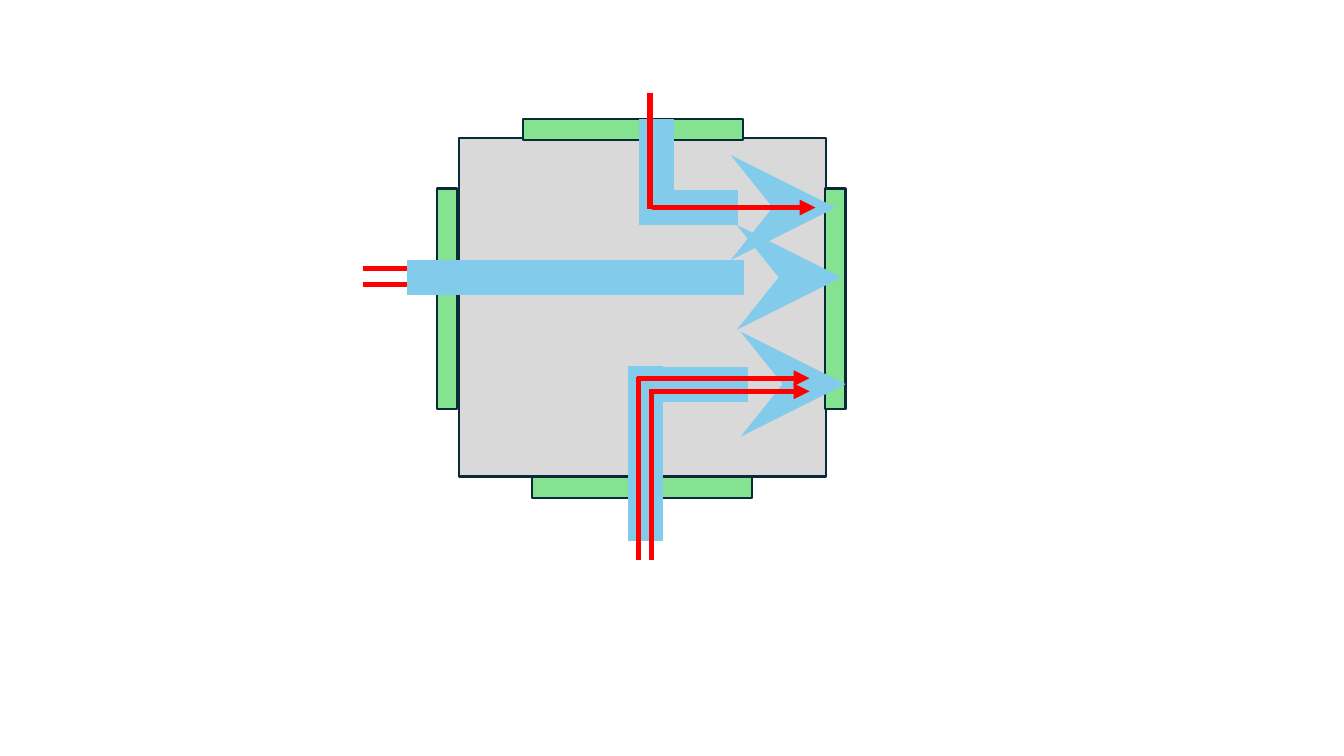
from lxml.etree import SubElement
from pptx import Presentation
from pptx.dml.color import RGBColor
from pptx.enum.shapes import MSO_CONNECTOR as CONN, MSO_SHAPE as SHAPE
from pptx.oxml.ns import qn
from pptx.util import Cm, Pt

RED, BLUE, GREEN, GREY, NAVY = "FF0000", "83CBEB", "84E291", "D9D9D9", "092A39"


def rgb(value):
    return RGBColor.from_string(value)


class Diagram:
    outline = 1.5
    signal_width = 3.75
    channel_width = 25

    def __init__(self, slide):
        self.shapes = slide.shapes

    def box(self, x, y, w, h, fill):
        sp = self.shapes.add_shape(SHAPE.RECTANGLE, Cm(x), Cm(y), Cm(w), Cm(h))
        sp.shadow.inherit = False
        sp.fill.solid()
        sp.fill.fore_color.rgb = rgb(fill)
        sp.line.color.rgb = rgb(NAVY)
        sp.line.width = Pt(self.outline)

    def line(self, x1, y1, x2, y2, color, width, head=None):
        cxn = self.shapes.add_connector(CONN.STRAIGHT, Cm(x1), Cm(y1), Cm(x2), Cm(y2))
        cxn.line.color.rgb = rgb(color)
        cxn.line.width = Pt(width)
        if head:
            SubElement(cxn.line._get_or_add_ln(), qn("a:tailEnd")).set("type", head)
        SubElement(cxn._element.spPr, qn("a:effectLst"))

    def signal(self, x1, y1, x2, y2, arrow=False):
        self.line(x1, y1, x2, y2, RED, self.signal_width, "triangle" if arrow else None)

    def channel(self, x1, y1, x2, y2, arrow=False):
        self.line(x1, y1, x2, y2, BLUE, self.channel_width, "stealth" if arrow else None)


def main():
    prs = Presentation()
    prs.slide_width, prs.slide_height = Cm(33.87), Cm(19.05)
    d = Diagram(prs.slides.add_slide(prs.slide_layouts[6]))

    for y in (6.76, 7.16):
        d.signal(9.14, y, 20.37, y, arrow=True)

    d.box(11.56, 3.48, 9.25, 8.53, GREY)
    port_length, port_depth = 5.56, 0.51
    for x, y in ((13.17, 3.01), (13.4, 12.03)):
        d.box(x, y, port_length, port_depth, GREEN)
    for x in (11.02, 20.8):
        d.box(x, 4.75, port_depth, port_length, GREEN)

    d.channel(16.36, 9.68, 21.31, 9.68, arrow=True)
    d.channel(16.26, 13.64, 16.26, 9.22)
    for x, y in ((16.1, 9.53), (16.41, 9.86)):
        d.signal(x - 0.05, y, 20.4, y, arrow=True)
        d.signal(x, y - 0.03, x, 14.12)

    d.channel(10.26, 6.99, 21.21, 6.99, arrow=True)

    d.channel(16.1, 5.23, 21.06, 5.23, arrow=True)
    d.signal(16.43, 5.23, 20.55, 5.23, arrow=True)
    d.channel(16.54, 4.85, 16.54, 3)
    d.signal(16.38, 5.26, 16.38, 2.34)

    prs.save("out.pptx")


if __name__ == "__main__":
    main()
